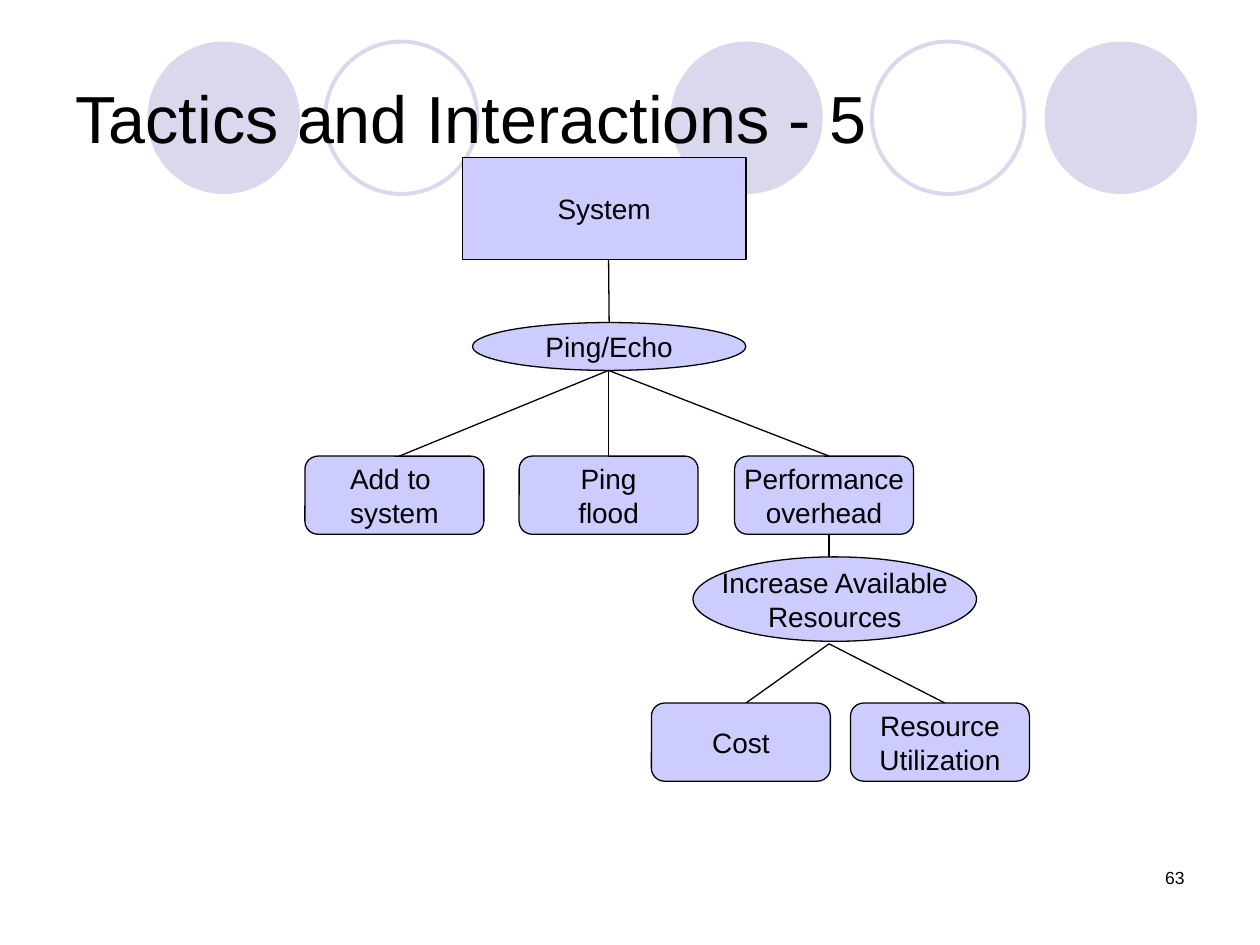
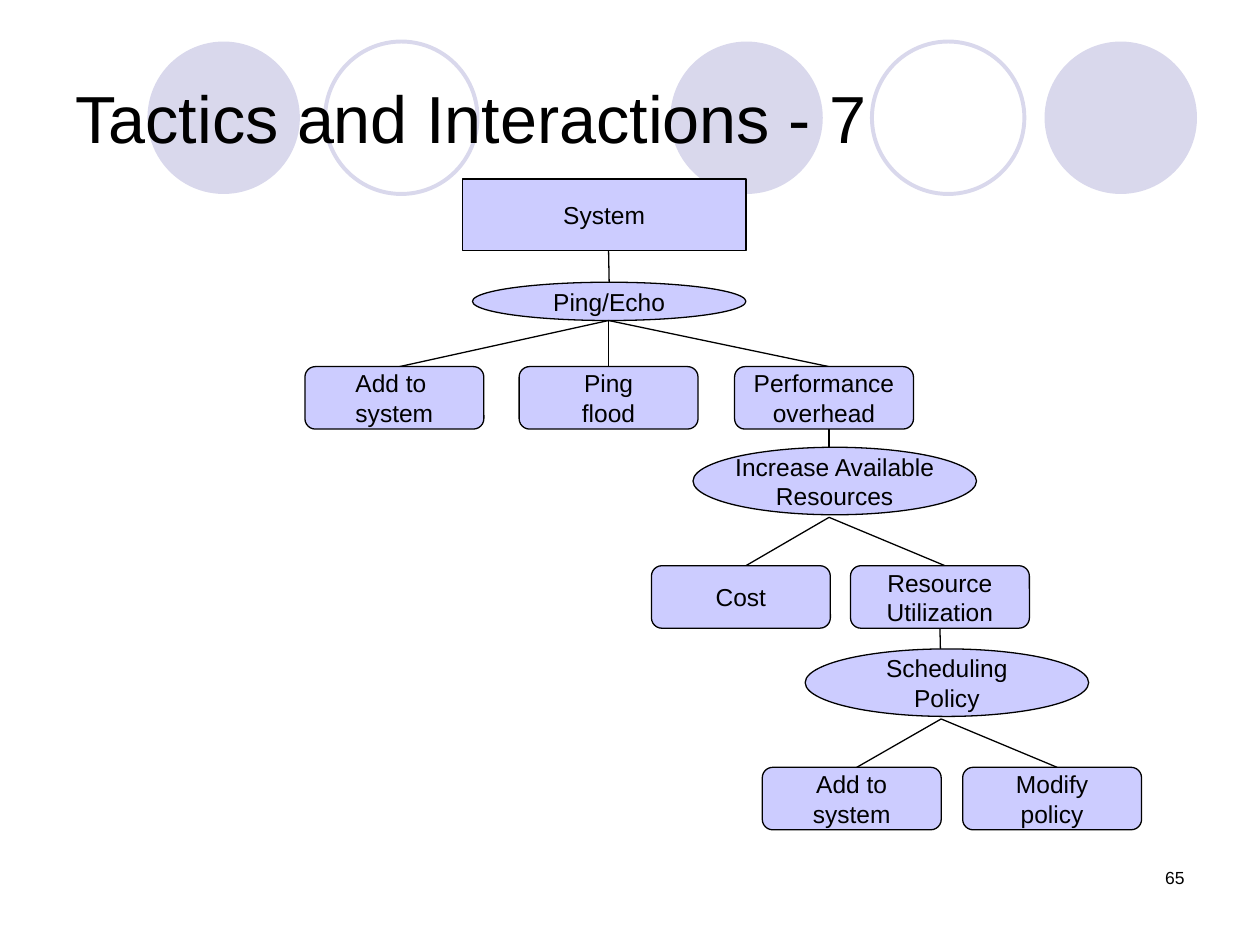
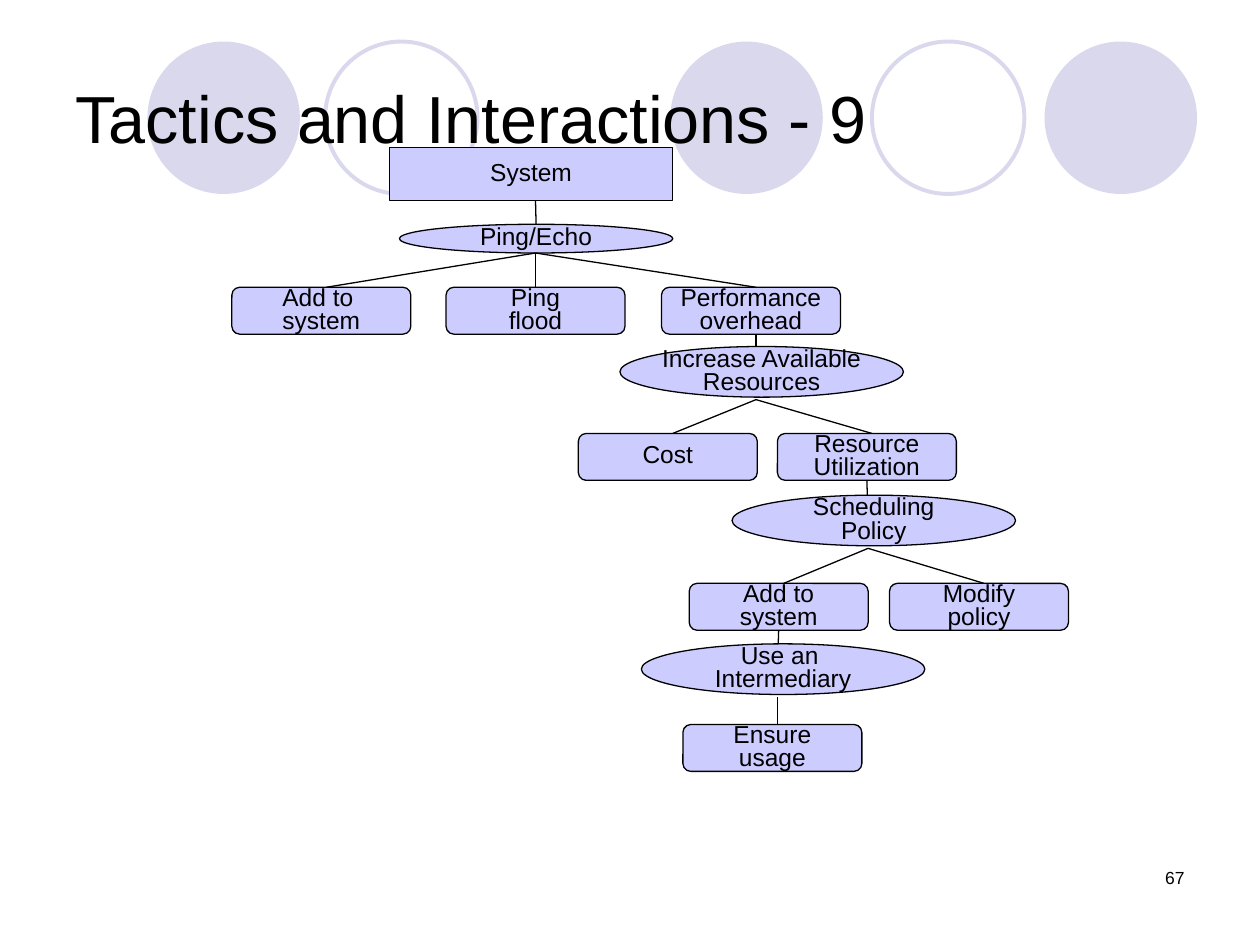
"""Builds three slides that grow one tree of tactics and their side effects."""
from dataclasses import dataclass
from typing import NamedTuple, Optional

from lxml import etree
from pptx import Presentation
from pptx.dml.color import RGBColor
from pptx.enum.shapes import MSO_CONNECTOR, MSO_SHAPE
from pptx.enum.text import MSO_ANCHOR, PP_ALIGN
from pptx.oxml.ns import qn
from pptx.shapes.autoshape import Shape
from pptx.shapes.connector import Connector
from pptx.slide import Slide
from pptx.text.text import TextFrame
from pptx.util import Inches, Pt

RECTANGLE = MSO_SHAPE.RECTANGLE
ROUNDED = MSO_SHAPE.ROUNDED_RECTANGLE
ELLIPSE = MSO_SHAPE.OVAL
STRAIGHT = MSO_CONNECTOR.STRAIGHT
MIDDLE, TOP = MSO_ANCHOR.MIDDLE, MSO_ANCHOR.TOP
LEFT, CENTER, RIGHT = PP_ALIGN.LEFT, PP_ALIGN.CENTER, PP_ALIGN.RIGHT
TOP_SIDE, BOTTOM_SIDE = 0, 2

FONT = "Arial"
INK, NODE_FILL, BAND = "000000", "CCCCFF", "D9D8EC"
CIRCLE_TOP, CIRCLE_SIZE = 0.33, 1.21
JOIN_TOLERANCE = 0.02


class Circle(NamedTuple):
    """A circle of the band behind the title."""

    left: float
    filled: bool


class TextStyle(NamedTuple):
    """How a text frame is set."""

    size: float
    align: PP_ALIGN
    anchor: MSO_ANCHOR
    spacing: Optional[float] = None


@dataclass(frozen=True)
class Node:
    """A tree node; line_x is where lines meet it."""

    lines: tuple[str, ...]
    level: int
    left: float
    line_x: float
    parent: Optional["Node"] = None
    kind: MSO_SHAPE = ROUNDED
    width: float = 1.42
    height: float = 0.62
    exit_gap: float = 0.0

    @property
    def is_tactic(self) -> bool:
        """Tells whether the node is a tactic."""
        return self.kind == ELLIPSE

    @property
    def centered_line(self) -> float:
        """Gives the x of the middle of the node."""
        return self.left + self.width / 2


@dataclass(frozen=True)
class Diagram:
    """A slide's view of the tree, one top per visible level."""

    title: str
    page: str
    tops: tuple[float, ...]
    system_height: float
    height_scale: float
    font_size: float
    shift: float = 0.0
    spacing: Optional[float] = None

    def height(self, node: Node) -> float:
        """Gives the height of a node on this slide."""
        return node.height * self.height_scale if node.parent else self.system_height

    def bottom(self, node: Node) -> float:
        """Gives the bottom of a node on this slide."""
        return self.tops[node.level] + self.height(node)


def tactic(parent: Node, lines: tuple[str, ...], left: float, line_x: float,
           width: float = 2.25, height: float = 0.67, exit_gap: float = 0.02) -> Node:
    """Makes a tactic under its parent."""
    return Node(lines, parent.level + 1, left, line_x, parent, ELLIPSE, width, height, exit_gap)


def effect(parent: Node, lines: tuple[str, ...], left: float, line_offset: float = 0.75) -> Node:
    """Makes a side effect under its tactic."""
    return Node(lines, parent.level + 1, left, left + line_offset, parent)


SYSTEM = Node(("System",), 0, 3.67, 4.83, kind=RECTANGLE, width=2.25)
PING_ECHO = tactic(SYSTEM, ("Ping/Echo",), 3.75, 4.83, 2.17, 0.38, 0.0)
PERFORMANCE = effect(PING_ECHO, ("Performance", "overhead"), 5.83)
MORE_RESOURCES = tactic(PERFORMANCE, ("Increase Available", "Resources"), 5.5, 6.58)
UTILIZATION = effect(MORE_RESOURCES, ("Resource", "Utilization"), 6.75)
SCHEDULING = tactic(UTILIZATION, ("Scheduling", "Policy"), 6.39, 7.47)
ADD_POLICY = effect(SCHEDULING, ("Add to", "system"), 6.05)
INTERMEDIARY = tactic(ADD_POLICY, ("Use an ", "Intermediary"), 5.67, 6.75)
TREE = (
    SYSTEM,
    PING_ECHO,
    effect(PING_ECHO, ("Add to ", "system"), 2.42),
    effect(PING_ECHO, ("Ping", "flood"), 4.12, 0.71),
    PERFORMANCE,
    MORE_RESOURCES,
    effect(MORE_RESOURCES, ("Cost",), 5.17),
    UTILIZATION,
    SCHEDULING,
    ADD_POLICY,
    effect(SCHEDULING, ("Modify", "policy"), 7.64),
    INTERMEDIARY,
    effect(INTERMEDIARY, ("Ensure", "usage"), 6.0),
)

CIRCLES = (Circle(5.32, True), Circle(8.29, True), Circle(1.17, True),
           Circle(6.92, False), Circle(2.58, False))

DIAGRAMS = (
    Diagram("Tactics and Interactions - 5", "63",
            (1.25, 2.56, 3.62, 4.42, 5.58), 0.81, 1.0, 16),
    Diagram("Tactics and Interactions - 7", "65",
            (1.42, 2.24, 2.91, 3.55, 4.49, 5.15, 6.09), 0.57, 0.8, 14),
    Diagram("Tactics and Interactions - 9", "67",
            (1.17, 1.78, 2.28, 2.75, 3.44, 3.93, 4.63, 5.11, 5.75), 0.42, 0.6, 14,
            shift=-0.58, spacing=0.8),
)


def color(value: str) -> RGBColor:
    """Turns a hex string into a colour."""
    return RGBColor.from_string(value)


def write(frame: TextFrame, lines: tuple[str, ...], style: TextStyle, wrap: bool) -> None:
    """Writes each line as a paragraph."""
    frame.word_wrap = wrap
    frame.vertical_anchor = style.anchor
    for index, line in enumerate(lines):
        paragraph = frame.add_paragraph() if index else frame.paragraphs[0]
        paragraph.alignment = style.align
        if style.spacing:
            paragraph.line_spacing = style.spacing
        run = paragraph.add_run()
        run.text = line
        run.font.name = FONT
        run.font.size = Pt(style.size)
        run.font.color.rgb = color(INK)


def add_text(slide: Slide, left: float, top: float, width: float, height: float,
             text: str, style: TextStyle) -> None:
    """Adds a wrapped text box."""
    box = slide.shapes.add_textbox(Inches(left), Inches(top), Inches(width), Inches(height))
    write(box.text_frame, (text,), style, True)


def add_outline(slide: Slide, kind: MSO_SHAPE, left: float, top: float, width: float,
                height: float, fill: Optional[str], line: Optional[str],
                line_width: float = 0.75) -> Shape:
    """Adds a preset shape with an optional fill and line."""
    shape = slide.shapes.add_shape(kind, Inches(left), Inches(top), Inches(width), Inches(height))
    shape.shadow.inherit = False
    if fill:
        shape.fill.solid()
        shape.fill.fore_color.rgb = color(fill)
    else:
        shape.fill.background()
    if line:
        shape.line.color.rgb = color(line)
        shape.line.width = Pt(line_width)
    else:
        shape.line.fill.background()
    return shape


def add_frame(slide: Slide, diagram: Diagram) -> None:
    """Draws the circle band and the title."""
    for circle in CIRCLES:
        fill, line = (BAND, None) if circle.filled else (None, BAND)
        add_outline(slide, ELLIPSE, circle.left, CIRCLE_TOP, CIRCLE_SIZE, CIRCLE_SIZE,
                    fill, line, 2.25)
    add_text(slide, 0.5, 0.3, 9, 1.25, diagram.title, TextStyle(38, LEFT, MIDDLE))


def add_link(slide: Slide, diagram: Diagram, node: Node) -> Connector:
    """Draws the line from a node's parent down to the node."""
    parent = node.parent
    begin_x = (node if node.is_tactic else parent).line_x + diagram.shift
    begin_y = diagram.bottom(parent) + parent.exit_gap
    end_x = node.line_x + diagram.shift
    end_y = diagram.tops[node.level] + (diagram.height(node) / 2 if node.is_tactic else 0)
    link = slide.shapes.add_connector(STRAIGHT, Inches(begin_x), Inches(begin_y),
                                      Inches(end_x), Inches(end_y))
    link.line.color.rgb = color(INK)
    link.line.width = Pt(0.75)
    etree.SubElement(link._element.spPr, qn("a:effectLst"))
    return link


def meets_middle(line_x: float, node: Node) -> bool:
    """Tells whether a line meets the middle of a node's side."""
    return abs(line_x - node.centered_line) < JOIN_TOLERANCE


def add_tree(slide: Slide, diagram: Diagram) -> None:
    """Draws the visible levels of the tree."""
    drawn: dict[Node, Shape] = {}
    style = TextStyle(diagram.font_size, CENTER, MIDDLE, diagram.spacing)
    for node in TREE:
        if node.level >= len(diagram.tops):
            continue
        link = add_link(slide, diagram, node) if node.parent else None
        shape = add_outline(slide, node.kind, node.left + diagram.shift, diagram.tops[node.level],
                            node.width, diagram.height(node), NODE_FILL, INK)
        write(shape.text_frame, node.lines, style, False)
        drawn[node] = shape
        if link and node.is_tactic and meets_middle(node.line_x, node.parent):
            link.begin_connect(drawn[node.parent], BOTTOM_SIDE)
        if link and meets_middle(node.line_x, node):
            link.end_connect(shape, TOP_SIDE)


def main() -> None:
    """Builds and saves the slides."""
    deck = Presentation()
    deck.slide_width, deck.slide_height = Inches(10), Inches(7.5)
    for diagram in DIAGRAMS:
        slide = deck.slides.add_slide(deck.slide_layouts[6])
        add_frame(slide, diagram)
        add_tree(slide, diagram)
        add_text(slide, 7.17, 6.83, 2.33, 0.5, diagram.page, TextStyle(10, RIGHT, TOP))
    deck.save("out.pptx")


if __name__ == "__main__":
    main()
